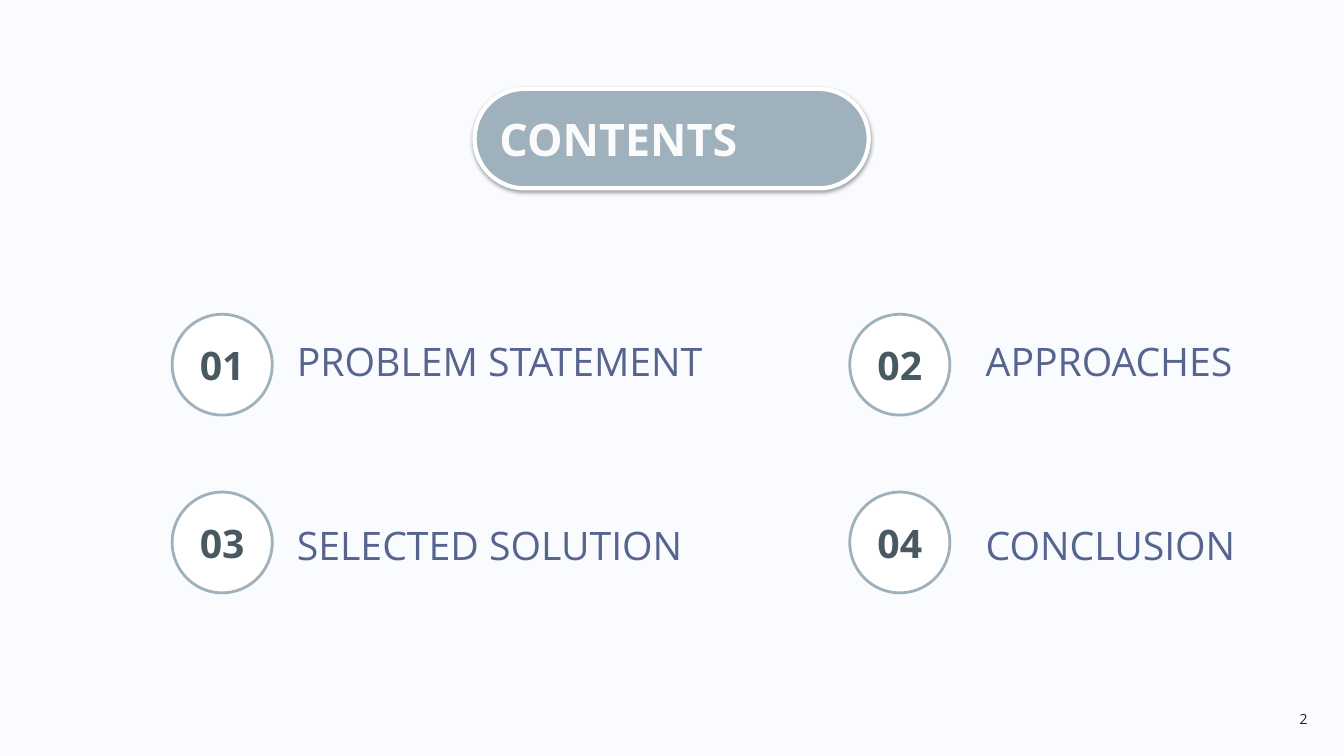
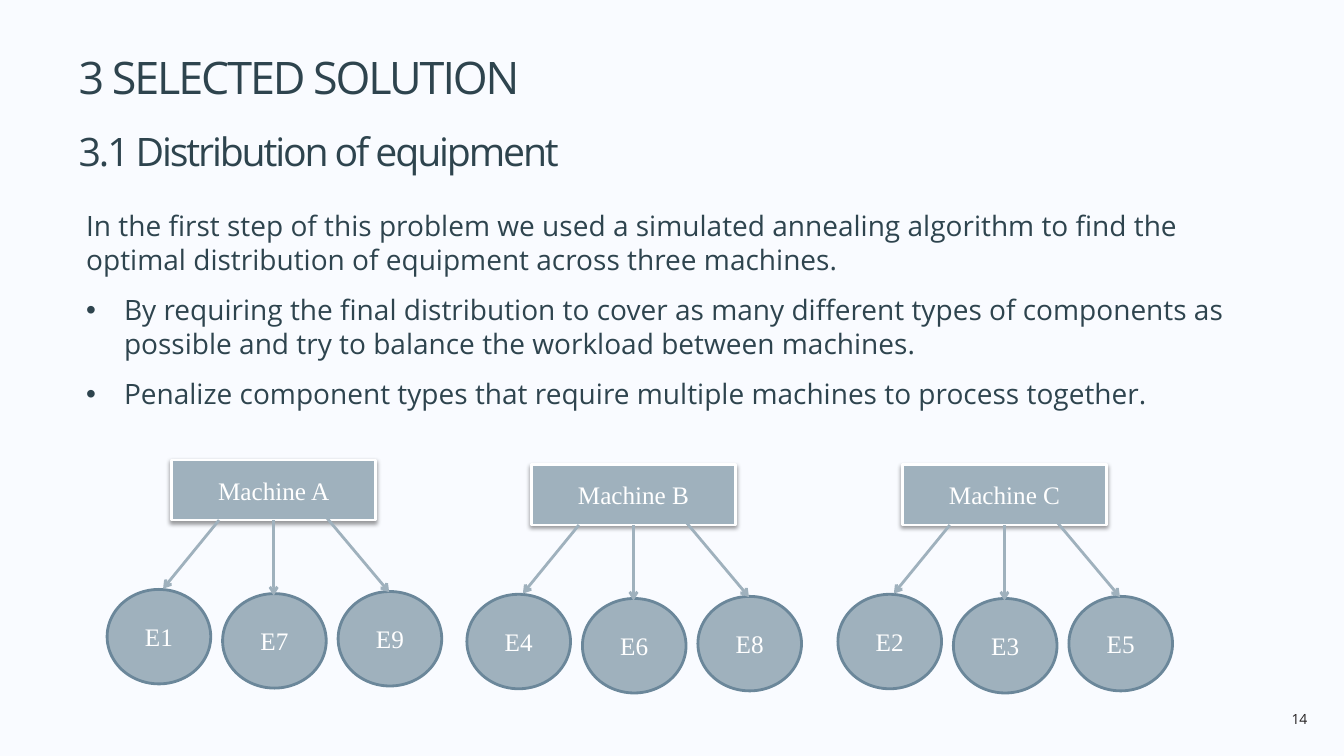
from lxml import etree
from pptx import Presentation
from pptx.dml.color import RGBColor
from pptx.enum.shapes import MSO_CONNECTOR, MSO_SHAPE
from pptx.enum.text import MSO_ANCHOR, MSO_AUTO_SIZE, PP_ALIGN
from pptx.oxml.ns import qn
from pptx.util import Pt

LEFT, CENTER, RIGHT, JUSTIFY = PP_ALIGN.LEFT, PP_ALIGN.CENTER, PP_ALIGN.RIGHT, PP_ALIGN.JUSTIFY
TOP, MIDDLE, BOTTOM = MSO_ANCHOR.TOP, MSO_ANCHOR.MIDDLE, MSO_ANCHOR.BOTTOM
NO_AUTOFIT = MSO_AUTO_SIZE.NONE
RECTANGLE, PILL, OVAL = MSO_SHAPE.RECTANGLE, MSO_SHAPE.ROUNDED_RECTANGLE, MSO_SHAPE.OVAL
STRAIGHT = MSO_CONNECTOR.STRAIGHT

SANS, SERIF = "Open Sans", "Times New Roman"
TITLE_ONLY = 5
COLORS = {
    "background": "F9FBFF",
    "steel": "9FB1BD",
    "outline": "6B879A",
    "white": "FFFFFF",
    "heading": "FCFBFC",
    "number": "495961",
    "label": "57658E",
    "body": "2E444E",
    "page": "231F20",
}

CONTENT_COLUMNS = ((123, 205, 325), (607, 697, 250))
CONTENT_ROWS = ((224.5, 237.5), (351.5, 368.5))
CONTENT_ITEMS = ("PROBLEM STATEMENT", "APPROACHES", "SELECTED SOLUTION", "CONCLUSION")

INTRO = (
    "In the first step of this problem we used a simulated annealing algorithm "
    "to find the optimal distribution of equipment across three machines."
)
BULLETS = (
    "By requiring the final distribution to cover as many different types of components "
    "as possible and try to balance the workload between machines.",
    "Penalize component types that require multiple machines to process together.",
)
MACHINES = (
    ("Machine A", 122.5, 328.5, ("E1", "E7", "E9")),
    ("Machine B", 379.5, 332, ("E4", "E6", "E8")),
    ("Machine C", 644.5, 332, ("E2", "E3", "E5")),
)
EQUIPMENT_OFFSETS = ((-46, 92.5), (36.5, 95.5), (119, 94))
ARROW_OFFSETS = ((34, 43, -6, 92), (73, 43, 73, 97), (111, 41.5, 155.5, 94.5))


def points(*values):
    """Convert numbers to point lengths."""
    return [Pt(value) for value in values]


def color(name):
    """Look up a colour of the deck."""
    return RGBColor.from_string(COLORS[name])


def style_paragraph(para, size, ink, font=SANS, bold=False, align=LEFT):
    """Set the font and alignment of a paragraph."""
    para.alignment = align
    para.font.name = font
    para.font.size = Pt(size)
    para.font.bold = bold
    para.font.color.rgb = color(ink)


def add_text(shapes, area, text, size, ink, align=LEFT):
    """Add a wrapping one-paragraph text box."""
    box = shapes.add_textbox(*points(*area))
    box.text_frame.word_wrap = True
    box.text_frame.text = text
    style_paragraph(box.text_frame.paragraphs[0], size, ink, align=align)


def add_figure(shapes, kind, area, fill, line, width):
    """Add a filled, outlined preset shape."""
    figure = shapes.add_shape(kind, *points(*area))
    figure.shadow.inherit = False
    figure.fill.solid()
    figure.fill.fore_color.rgb = color(fill)
    figure.line.color.rgb = color(line)
    figure.line.width = Pt(width)
    return figure


def label_figure(figure, text, size, ink, font, bold=False):
    """Put centred text inside a shape."""
    frame = figure.text_frame
    frame.margin_left = frame.margin_right = 0
    frame.vertical_anchor = MIDDLE
    frame.text = text
    style_paragraph(frame.paragraphs[0], size, ink, font, bold, CENTER)


def add_drop_shadow(figure):
    """Give a shape a soft shadow below it."""
    effects = figure._element.spPr.find(qn("a:effectLst"))
    shadow = etree.SubElement(
        effects, qn("a:outerShdw"), blurRad=str(Pt(3.1)), dist=str(Pt(1.6)), dir="5400000"
    )
    ink = etree.SubElement(shadow, qn("a:srgbClr"), val="000000")
    etree.SubElement(ink, qn("a:alpha"), val="38000")


def add_arrow(shapes, ends):
    """Add a straight arrow without shadow."""
    arrow = shapes.add_connector(STRAIGHT, *points(*ends))
    arrow.line.color.rgb = color("steel")
    arrow.line.width = Pt(2)
    properties = arrow._element.spPr
    etree.SubElement(properties.find(qn("a:ln")), qn("a:tailEnd"), type="arrow")
    etree.SubElement(properties, qn("a:effectLst"))


def place_title(page, area, anchor):
    """Move the title placeholder to the front and return its text frame."""
    title = page.shapes.title
    title.left, title.top, title.width, title.height = points(*area)
    page.shapes._spTree.append(title._element)
    frame = title.text_frame
    frame.word_wrap = True
    frame.auto_size = NO_AUTOFIT
    frame.vertical_anchor = anchor
    return frame


def add_page(deck, number):
    """Add a title-only page with its page number."""
    page = deck.slides.add_slide(deck.slide_layouts[TITLE_ONLY])
    add_text(page.shapes, (865.5, 504, 75.5, 19.5), number, 10, "page", RIGHT)
    return page


def add_content_item(page, number, text, column, row):
    """Add a numbered circle with its label."""
    badge_left, label_left, label_width = column
    badge_top, label_top = row
    shapes = page.shapes.add_group_shape().shapes
    badge = add_figure(shapes, OVAL, (badge_left, badge_top, 71.5, 72), "white", "steel", 2)
    label_figure(badge, f"{number:02}", 28, "number", SANS, True)
    add_text(shapes, (label_left, label_top, label_width, 41), text, 28, "label")


def add_machine(page, name, left, top, equipment):
    """Add a machine box with arrows to its equipment."""
    shapes = page.shapes.add_group_shape().shapes
    machine = add_figure(shapes, RECTANGLE, (left, top, 146, 43), "steel", "white", 2)
    add_drop_shadow(machine)
    label_figure(machine, name, 18, "white", SERIF)
    for text, (across, down) in zip(equipment, EQUIPMENT_OFFSETS):
        area = (left + across, top + down, 74, 67.5)
        circle = add_figure(shapes, OVAL, area, "steel", "outline", 2)
        label_figure(circle, text, 18, "white", SERIF)
    for x1, y1, x2, y2 in ARROW_OFFSETS:
        add_arrow(shapes, (left + x1, top + y1, left + x2, top + y2))


def add_section_title(page, section, topic):
    """Write a section heading with its topic on a second line."""
    para = place_title(page, (49, 54.5, 854, 73.5), BOTTOM).paragraphs[0]
    style_paragraph(para, 32, "body")
    para.line_spacing = 1.5
    heading = para.add_run()
    heading.text = section
    para.add_line_break()
    subheading = para.add_run()
    subheading.text = topic
    subheading.font.size = Pt(28)
    for span in (heading, subheading):
        span._r.get_or_add_rPr().set("spc", "-150")


def add_body(page, area, intro, bullets):
    """Add an opening paragraph followed by bullets."""
    frame = page.shapes.add_textbox(*points(*area)).text_frame
    frame.word_wrap = True
    frame.text = "\n".join((intro, *bullets))
    for para in frame.paragraphs:
        style_paragraph(para, 20, "body")
        para.space_after = Pt(12)
    for para in frame.paragraphs[1:]:
        properties = para._p.get_or_add_pPr()
        properties.set("marL", str(Pt(27)))
        properties.set("indent", str(-Pt(27)))
        bullet_font = etree.Element(qn("a:buFont"), typeface="Arial")
        bullet = etree.Element(qn("a:buChar"), char="•")
        following = properties.find(qn("a:defRPr"))
        for element in (bullet_font, bullet):
            if following is None:
                properties.append(element)
            else:
                following.addprevious(element)


def build_contents(deck):
    """Build the table of contents."""
    page = add_page(deck, "2")
    pill = add_figure(page.shapes, PILL, (339, 63.5, 281.5, 71), "steel", "white", 3)
    pill.adjustments[0] = 0.5
    add_drop_shadow(pill)
    frame = place_title(page, (349.5, 63.5, 260.5, 71), MIDDLE)
    frame.text = "CONTENTS"
    style_paragraph(frame.paragraphs[0], 32, "heading", bold=True, align=JUSTIFY)
    for index, text in enumerate(CONTENT_ITEMS):
        row, column = divmod(index, 2)
        add_content_item(page, index + 1, text, CONTENT_COLUMNS[column], CONTENT_ROWS[row])


def build_solution(deck):
    """Build the page on the distribution of equipment."""
    page = add_page(deck, "14")
    add_section_title(page, "3 SELECTED SOLUTION", "3.1 Distribution of equipment")
    add_body(page, (54.5, 145.5, 853, 175.5), INTRO, BULLETS)
    for machine in MACHINES:
        add_machine(page, *machine)


def main():
    """Build and save the deck."""
    deck = Presentation()
    deck.slide_width, deck.slide_height = points(960, 540)
    background = deck.slide_master.background.fill
    background.solid()
    background.fore_color.rgb = color("background")
    build_contents(deck)
    build_solution(deck)
    deck.save("out.pptx")


if __name__ == "__main__":
    main()
